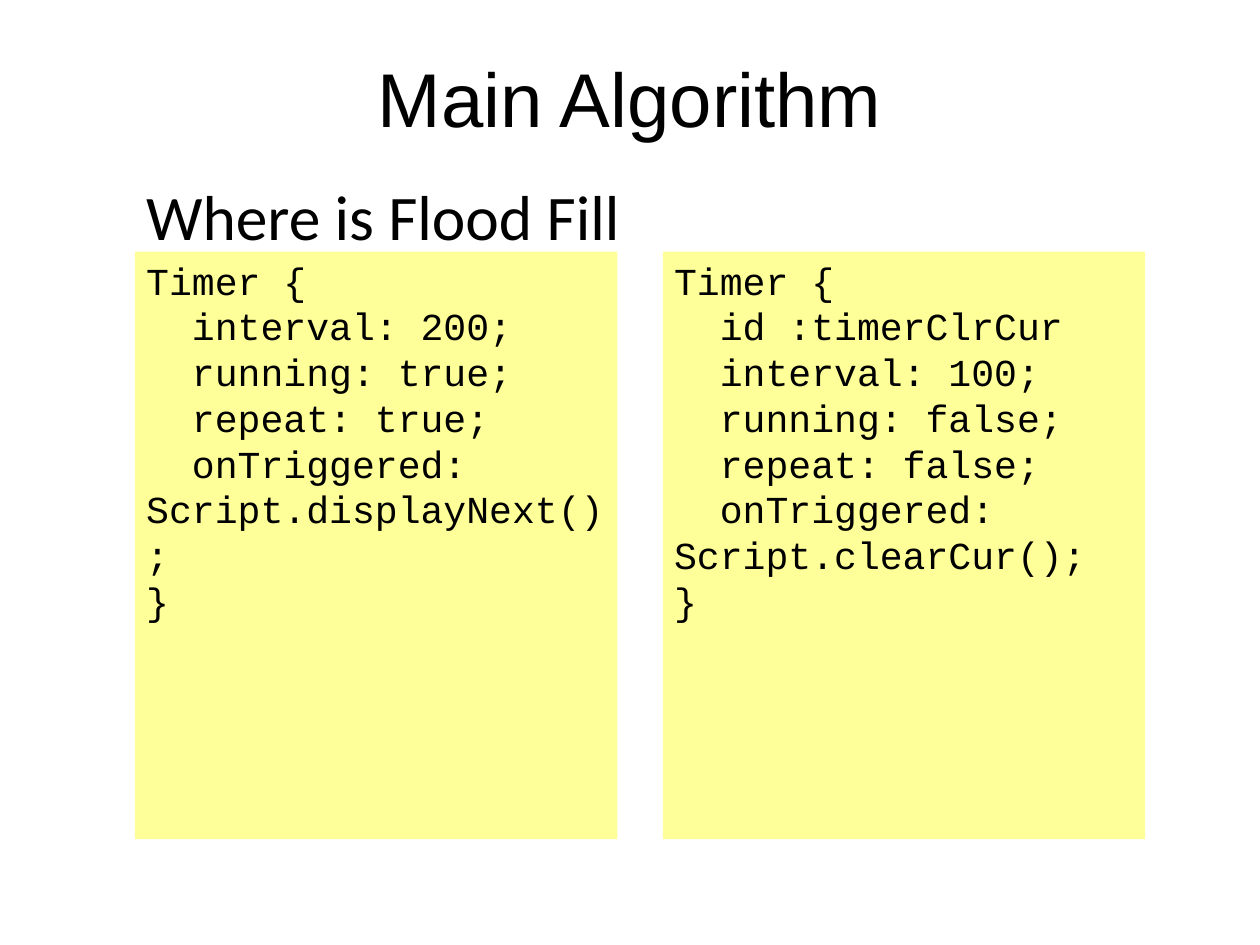
import dataclasses

import pptx
import pptx.dml.color
import pptx.enum.shapes
import pptx.enum.text
import pptx.slide
import pptx.text.text
import pptx.util

Cm = pptx.util.Cm
ALIGN = pptx.enum.text.PP_ALIGN

BLACK = pptx.dml.color.RGBColor(0x00, 0x00, 0x00)
PALE_YELLOW = pptx.dml.color.RGBColor(0xFF, 0xFF, 0x99)

MARGIN_LEFT = 3.0
PANEL_TOP, PANEL_WIDTH, PANEL_HEIGHT = 5.59, 10.72, 13.06
PANEL_STEP = 11.73

TITLE_CODE = """Timer {
  interval: 200;
  running: true;
  repeat: true;
  onTriggered: Script.displayNext();
}"""

CLEAR_CODE = """Timer {
  id :timerClrCur
  interval: 100;
  running: false;
  repeat: false;
  onTriggered: Script.clearCur();
}"""


@dataclasses.dataclass
class Heading:
    """A line of text; lengths in centimetres, size in points."""
    text: str
    left: float
    top: float
    width: float
    height: float
    font_name: str
    size: int
    alignment: ALIGN


HEADINGS = [
    Heading("Main Algorithm", 5.36, 1.02, 17.27, 2.13, "Arial", 48, ALIGN.CENTER),
    Heading("Where is Flood Fill", MARGIN_LEFT, 3.81, 15.04, 2.18, "Calibri", 40, ALIGN.LEFT),
]


def write_text(frame: pptx.text.text.TextFrame, text: str, font_name: str,
               size: int, alignment: ALIGN) -> None:
    frame.word_wrap = True
    frame.vertical_anchor = pptx.enum.text.MSO_ANCHOR.TOP
    frame.text = text
    for paragraph in frame.paragraphs:
        paragraph.alignment = alignment
        paragraph.font.name = font_name
        paragraph.font.size = pptx.util.Pt(size)
        paragraph.font.color.rgb = BLACK


def add_heading(slide: pptx.slide.Slide, heading: Heading) -> None:
    box = slide.shapes.add_textbox(Cm(heading.left), Cm(heading.top),
                                   Cm(heading.width), Cm(heading.height))
    write_text(box.text_frame, heading.text, heading.font_name,
               heading.size, heading.alignment)


def add_code_panel(slide: pptx.slide.Slide, left: float, code: str) -> None:
    panel = slide.shapes.add_shape(pptx.enum.shapes.MSO_SHAPE.RECTANGLE,
                                   Cm(left), Cm(PANEL_TOP),
                                   Cm(PANEL_WIDTH), Cm(PANEL_HEIGHT))
    panel.shadow.inherit = False
    panel.fill.solid()
    panel.fill.fore_color.rgb = PALE_YELLOW
    panel.line.fill.background()
    write_text(panel.text_frame, code, "Courier New", 24, ALIGN.LEFT)


def main() -> None:
    presentation = pptx.Presentation()
    presentation.slide_width = Cm(28)
    presentation.slide_height = Cm(21)
    slide = presentation.slides.add_slide(presentation.slide_layouts[6])

    # Title and subtitle
    for heading in HEADINGS:
        add_heading(slide, heading)

    # Code panels, side by side
    for column, code in enumerate([TITLE_CODE, CLEAR_CODE]):
        add_code_panel(slide, MARGIN_LEFT + column * PANEL_STEP, code)

    presentation.save("out.pptx")


if __name__ == "__main__":
    main()
